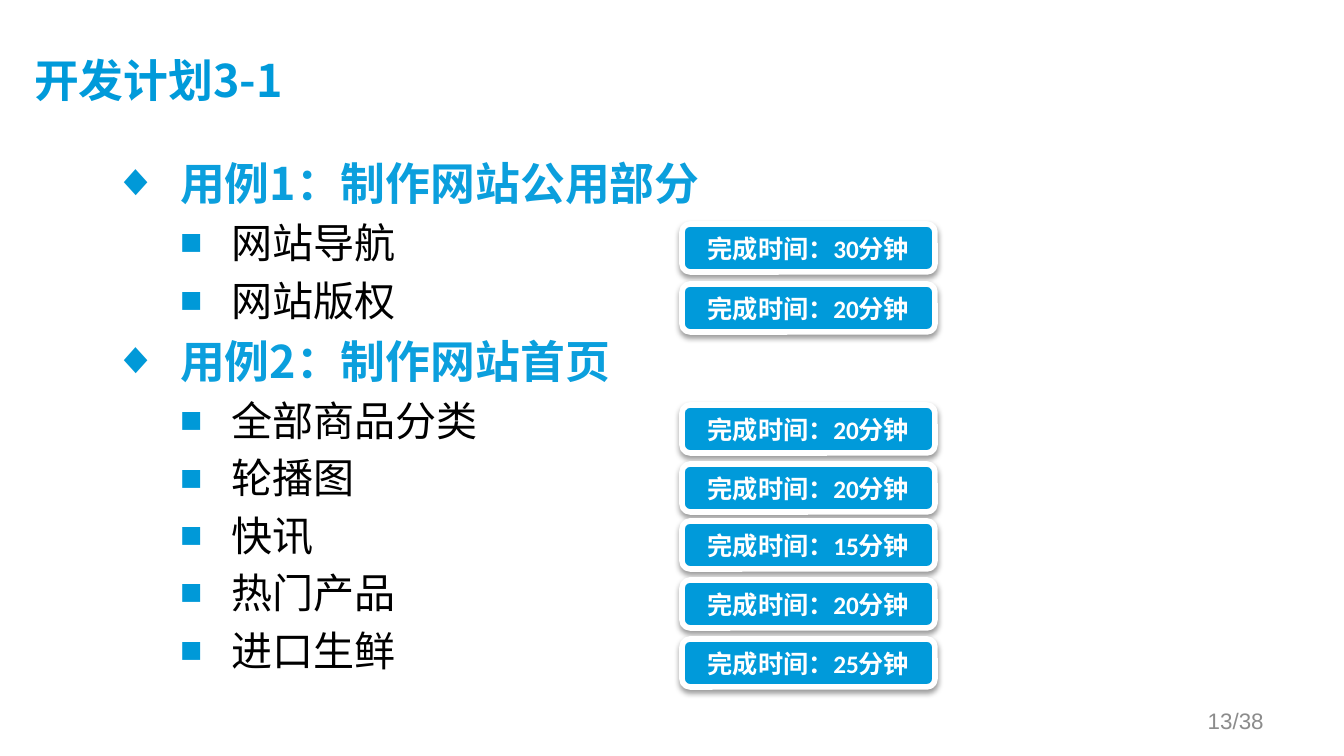
import pptx
import pptx.util
import pptx.dml.color
import pptx.enum.shapes
import pptx.enum.text
import pptx.oxml.ns
import lxml.etree

PX = 914400 / 134.4
FONT = "Noto Sans CJK SC"
COLORS = {"blue": "009ADA", "heading": "0B9FDD", "bullet": "0099D8",
          "black": "000000", "white": "FFFFFF", "grey": "8C8C8C"}
ALIGN = pptx.enum.text.PP_ALIGN
MIDDLE = pptx.enum.text.MSO_ANCHOR.MIDDLE
qn = pptx.oxml.ns.qn


def px(*lengths):
    return [pptx.util.Emu(round(n * PX)) for n in lengths]


def write(p, text, size, color, font=FONT, bold=False, align=ALIGN.LEFT):
    p.alignment = align
    r = p.add_run()
    r.text = text
    r.font.size = pptx.util.Pt(size)
    r.font.bold = bold
    r.font.name = font
    r.font.color.rgb = pptx.dml.color.RGBColor.from_string(COLORS[color])
    latin = r._r.rPr.find(qn("a:latin"))
    ea = lxml.etree.Element(qn("a:ea"), typeface=FONT)
    latin.addnext(ea)


prs = pptx.Presentation()
prs.slide_width, prs.slide_height = px(1344, 756)
s = prs.slides.add_slide(prs.slide_layouts[5])

# Title
title = s.shapes.title
title.left, title.top, title.width, title.height = px(34, 31, 1211, 104)
tf = title.text_frame
tf.auto_size = pptx.enum.text.MSO_AUTO_SIZE.NONE
tf.vertical_anchor = MIDDLE
tf.margin_left, tf.margin_top, tf.margin_right, tf.margin_bottom = px(0, 0, 13, 7)
write(tf.paragraphs[0], "开发计划3-1", size=24, color="blue", bold=True)

# Use cases: heading, then (task, minutes, top of its time label)
use_cases = [
    ("用例1：制作网站公用部分", [("网站导航", 30, 224), ("网站版权", 20, 284)]),
    ("用例2：制作网站首页", [("全部商品分类", 20, 405), ("轮播图", 20, 464),
                    ("快讯", 15, 521), ("热门产品", 20, 580), ("进口生鲜", 25, 639)]),
]
tasks = [task for _, group in use_cases for task in group]

# Bulleted outline
lines = []
for heading, group in use_cases:
    lines.append((heading, 0))
    lines += [(name, 1) for name, _, _ in group]

tf = s.shapes.add_textbox(*px(100, 149, 1141, 499)).text_frame
tf.word_wrap = True
for i, (text, level) in enumerate(lines):
    p = tf.paragraphs[0] if i == 0 else tf.add_paragraph()
    p.level = level
    pPr = p._p.get_or_add_pPr()
    margin, hang, mark, scale = [(67, 67, "◆", 100), (118, 51, "■", 90)][level]
    pPr.set("marL", str(px(margin)[0]))
    pPr.set("indent", str(-px(hang)[0]))
    clr = lxml.etree.SubElement(pPr, qn("a:buClr"))
    lxml.etree.SubElement(clr, qn("a:srgbClr"), val=COLORS["bullet"])
    lxml.etree.SubElement(pPr, qn("a:buSzPct"), val=str(scale * 1000))
    lxml.etree.SubElement(pPr, qn("a:buFont"), typeface="Arial")
    lxml.etree.SubElement(pPr, qn("a:buChar"), char=mark)
    size = [24, 22][level]
    if i:
        p.space_before = pptx.util.Pt(size * 0.2)
    if level == 0:
        write(p, text, size=size, color="heading", bold=True)
    else:
        write(p, text, size=size, color="black")

# Time labels
for _, minutes, top in tasks:
    sp = s.shapes.add_shape(pptx.enum.shapes.MSO_SHAPE.ROUNDED_RECTANGLE,
                            *px(682, top, 253, 48))
    sp.fill.solid()
    sp.fill.fore_color.rgb = pptx.dml.color.RGBColor.from_string(COLORS["blue"])
    sp.line.color.rgb = pptx.dml.color.RGBColor.from_string(COLORS["white"])
    sp.line.width = pptx.util.Pt(3)
    sp.shadow.inherit = False
    effects = sp._element.spPr.find(qn("a:effectLst"))
    shadow = lxml.etree.SubElement(
        effects, qn("a:outerShdw"), blurRad=str(pptx.util.Pt(3.1)),
        dist=str(pptx.util.Pt(1.6)), dir="5400000", rotWithShape="0")
    clr = lxml.etree.SubElement(shadow, qn("a:srgbClr"), val=COLORS["black"])
    lxml.etree.SubElement(clr, qn("a:alpha"), val="38000")
    tf = sp.text_frame
    tf.word_wrap = True
    tf.vertical_anchor = MIDDLE
    write(tf.paragraphs[0], f"完成时间：{minutes}分钟", size=13.5, color="white",
          font="Calibri", bold=True, align=ALIGN.CENTER)

# Page number
tf = s.shapes.add_textbox(*px(964, 701, 313, 40)).text_frame
tf.word_wrap = True
tf.vertical_anchor = MIDDLE
write(tf.paragraphs[0], "13/38", size=12, color="grey", font="Arial", align=ALIGN.RIGHT)

prs.save("out.pptx")
